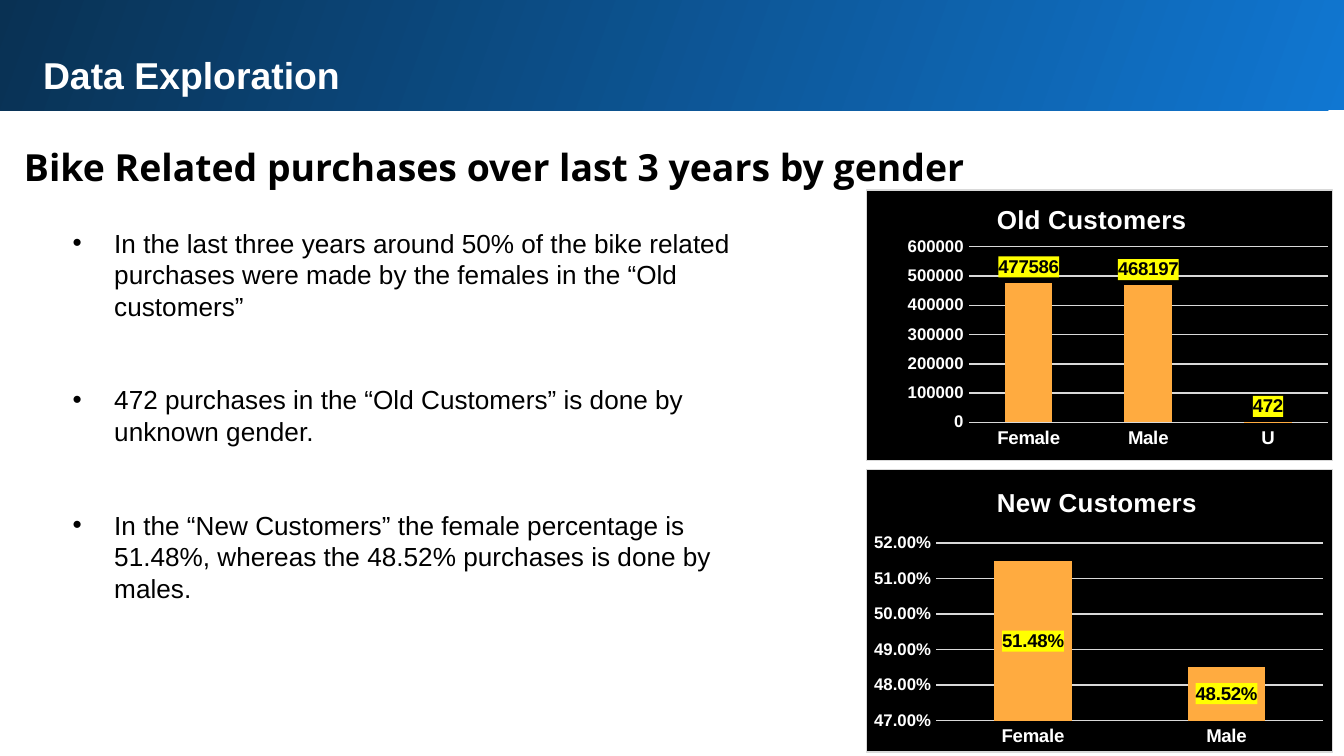
from lxml import etree
from pptx import Presentation
from pptx.chart.data import CategoryChartData
from pptx.dml.color import RGBColor
from pptx.enum.chart import XL_CHART_TYPE, XL_LABEL_POSITION, XL_TICK_MARK
from pptx.enum.shapes import MSO_SHAPE
from pptx.enum.text import MSO_ANCHOR, MSO_AUTO_SIZE, PP_ALIGN
from pptx.oxml import parse_xml
from pptx.oxml.ns import nsdecls, qn
from pptx.util import Inches, Pt

CLUSTERED, STACKED = XL_CHART_TYPE.COLUMN_CLUSTERED, XL_CHART_TYPE.COLUMN_STACKED
OUTSIDE, CENTER = XL_LABEL_POSITION.OUTSIDE_END, XL_LABEL_POSITION.CENTER
NO_TICK = XL_TICK_MARK.NONE

WHITE = RGBColor(0xFF, 0xFF, 0xFF)
BLACK = RGBColor(0, 0, 0)
BRIGHT_BLUE = RGBColor(0x10, 0x77, 0xD2)
DARK_BLUE = RGBColor(0x09, 0x31, 0x53)
ORANGE = RGBColor(0xFF, 0xAB, 0x40)
YELLOW = RGBColor(0xFF, 0xFF, 0)
GRAY = RGBColor(0xD9, 0xD9, 0xD9)

# Content
TITLE = "Data Exploration"
HEADING = "Bike Related purchases over last 3 years by gender"
BULLETS = [
    "In the last three years around 50% of the bike related purchases were made "
    "by the females in the “Old customers”",
    "472 purchases in the “Old Customers” is done by unknown gender.",
    "In the “New Customers” the female percentage is 51.48%, whereas the 48.52% "
    "purchases is done by males.",
]
CHARTS = [
    dict(title="Old Customers", kind=CLUSTERED, place=(6.44, 1.41, 3.48, 2.02),
         data={"Female": 477586, "Male": 468197, "U": 472},
         scale=(0, 600000, 100000), number_format="General", label_at=OUTSIDE,
         title_at=(0.27, 0.03), plot_at=(0.22, 0.21, 0.77, 0.65)),
    dict(title="New Customers", kind=STACKED, place=(6.44, 3.49, 3.48, 2.11),
         data={"Female": 0.5148, "Male": 0.4852},
         scale=(0.47, 0.52, 0.01), number_format="0.00%", label_at=CENTER,
         title_at=(0.27, 0.04), plot_at=(0.15, 0.26, 0.83, 0.63)),
]


def style_font(font, size, color, bold=False, name="Arial"):
    font.size, font.bold, font.name = Pt(size), bold, name
    font.color.rgb = color


def fill_text(box, place, lines, size, color, bold=False, name="Arial", inset=0.1):
    box.left, box.top, box.width, box.height = map(Inches, place)
    frame = box.text_frame
    frame.text = "\n".join(lines)
    frame.word_wrap = True
    frame.auto_size = MSO_AUTO_SIZE.NONE
    frame.vertical_anchor = MSO_ANCHOR.TOP
    frame.margin_left = frame.margin_right = Inches(inset)
    frame.margin_top = frame.margin_bottom = Inches(inset)
    for para in frame.paragraphs:
        para.alignment = PP_ALIGN.LEFT
        para.space_before = Pt(0)
        for span in para.runs:
            style_font(span.font, size, color, bold, name)
    return frame


def set_layout(parent, index, place, inner=False):
    """Place a chart part by fractions of the chart's size."""
    for old in parent.findall(qn("c:layout")):
        parent.remove(old)
    layout = parse_xml(f"<c:layout {nsdecls('c')}><c:manualLayout/></c:layout>")
    settings = [("layoutTarget", "inner")] if inner else []
    settings += [("xMode", "edge"), ("yMode", "edge")]
    settings += zip("xywh", place)
    for tag, value in settings:
        etree.SubElement(layout[0], qn(f"c:{tag}")).set("val", str(value))
    parent.insert(index, layout)


def solid_area(color, line=""):
    return parse_xml(f'<c:spPr {nsdecls("c", "a")}><a:solidFill><a:srgbClr val="{color}"/>'
                     f"</a:solidFill>{line}</c:spPr>")


def add_column_chart(page, title, kind, place, data, scale, number_format,
                     label_at, title_at, plot_at):
    chart_data = CategoryChartData(number_format=number_format)
    chart_data.categories = list(data)
    chart_data.add_series("Series 1", list(data.values()))
    chart = page.shapes.add_chart(kind, *map(Inches, place), chart_data).chart
    style_font(chart.font, 10, BLACK)
    chart.has_legend = False

    # Chart title and background
    chart.has_title = True
    chart.chart_title.text_frame.text = title
    style_font(chart.chart_title.text_frame.paragraphs[0].runs[0].font, 14, WHITE, True)
    set_layout(chart.chart_title._element, 1, title_at)
    border = (f'<a:ln w="{Pt(0.75)}"><a:solidFill><a:srgbClr val="{GRAY}"/>'
              "</a:solidFill></a:ln>")
    chart_xml = chart._chartSpace.find(qn("c:chart"))
    chart_xml.addnext(solid_area(BLACK, border))
    set_layout(chart_xml.find(qn("c:plotArea")), 0, plot_at, inner=True)

    # Axes
    values = chart.value_axis
    for axis, size in ((chart.category_axis, 10), (values, 9)):
        axis.major_tick_mark = axis.minor_tick_mark = NO_TICK
        axis.format.line.fill.background()
        style_font(axis.tick_labels.font, size, WHITE, True)
    values.minimum_scale, values.maximum_scale, values.major_unit = scale
    values.tick_labels.number_format = number_format
    values.tick_labels.number_format_is_linked = False
    values.major_gridlines.format.line.color.rgb = GRAY
    values.major_gridlines.format.line.width = Pt(0.75)

    # Columns and their highlighted labels
    plot = chart.plots[0]
    plot.gap_width = 150
    plot.vary_by_categories = False
    series = plot.series[0]
    series.format.fill.solid()
    series.format.fill.fore_color.rgb = ORANGE
    labels = series.data_labels
    labels.show_value = True
    labels.position = label_at
    labels.number_format = number_format
    labels.number_format_is_linked = False
    style_font(labels.font, 10, BLACK, True)
    labels._element.find(qn("c:txPr")).addprevious(solid_area(YELLOW))


# Widescreen page, 16 to 9
deck = Presentation()
deck.slide_width = Inches(10)
deck.slide_height = deck.slide_width * 9 // 16
page = deck.slides.add_slide(deck.slide_layouts[1])
title, body = page.placeholders

# Header band, behind the title
band = page.shapes.add_shape(MSO_SHAPE.RECTANGLE, Inches(0), Inches(-0.1),
                             Inches(10.05), Inches(0.92))
band.shadow.inherit = False
band.line.fill.background()
band.fill.gradient()
band.fill.gradient_angle = 160
for stop, color, position in zip(band.fill.gradient_stops, (BRIGHT_BLUE, DARK_BLUE), (0, 1)):
    stop.color.rgb, stop.position = color, position
title._element.addprevious(band._element)

# Title and heading
fill_text(title, (0.22, 0.29, 9.37, 0.54), [TITLE], 20, WHITE, True)
heading = page.shapes.add_textbox(0, 0, 0, 0)
frame = fill_text(heading, (0.08, 0.92, 7.39, 0.56), [HEADING], 20, BLACK, True, "Open Sans")
frame.paragraphs[0].line_spacing = 1.15

# Bullets
frame = fill_text(body, (0.49, 1.64, 5.04, 3.16), BULLETS, 14, BLACK, inset=0.05)
for number, para in enumerate(frame.paragraphs):
    para.space_before = Pt(33.5 if number else 0)
    properties = para._p.get_or_add_pPr()
    properties.set("marL", str(Inches(0.31)))
    properties.set("indent", str(-Inches(0.31)))
    etree.SubElement(properties, qn("a:buFont")).set("typeface", "Arial")
    etree.SubElement(properties, qn("a:buChar")).set("char", "•")

# Charts
for chart in CHARTS:
    add_column_chart(page, **chart)

deck.save("out.pptx")
